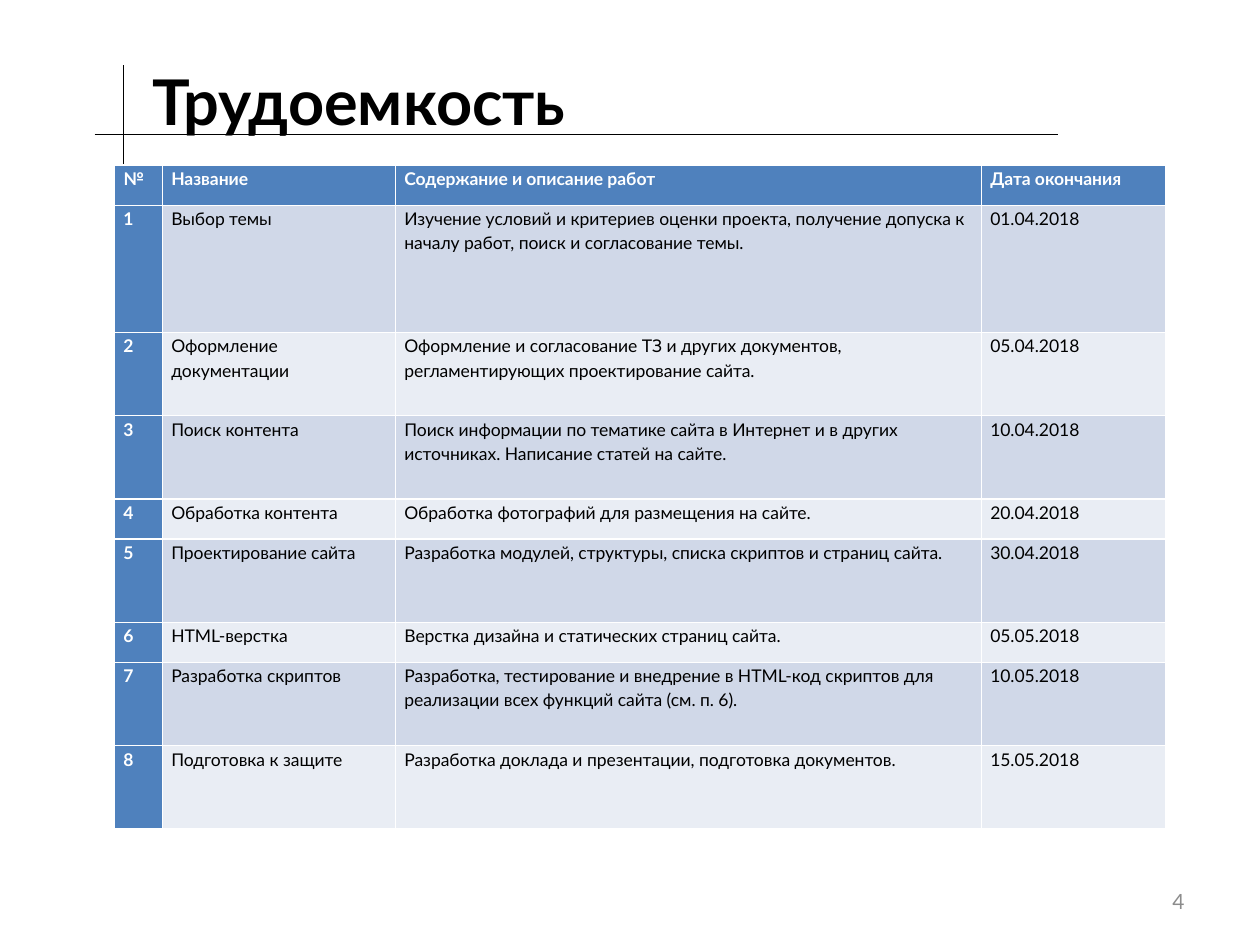
from lxml import etree
from pptx import Presentation
from pptx import util as u
from pptx.dml.color import RGBColor
from pptx.enum import shapes, text
from pptx.oxml.ns import qn

FONT = "Lato"
BLACK, WHITE, GREY = "000000", "FFFFFF", "8C8C8C"
BLUE, BANDS = "4F81BD", ("D0D8E8", "E9EDF4")

TITLE = "Трудоемкость"
PAGE_NUMBER = "4"
HEADER = ("№", "Название", "Содержание и описание работ", "Дата окончания")
# Name, description, end date, row height in lines
STAGES = [
    ("Выбор темы",
     "Изучение условий и критериев оценки проекта, получение допуска к "
     "началу работ, поиск и согласование темы.", "01.04.2018", 3),
    ("Оформление документации",
     "Оформление и согласование ТЗ и других документов, "
     "регламентирующих проектирование сайта.", "05.04.2018", 2),
    ("Поиск контента",
     "Поиск информации по тематике сайта в Интернет и в других "
     "источниках. Написание статей на сайте.", "10.04.2018", 2),
    ("Обработка контента",
     "Обработка фотографий для размещения на сайте.", "20.04.2018", 1),
    ("Проектирование сайта",
     "Разработка модулей, структуры, списка скриптов и страниц сайта.",
     "30.04.2018", 2),
    ("HTML-верстка",
     "Верстка дизайна и статических страниц сайта.", "05.05.2018", 1),
    ("Разработка скриптов",
     "Разработка, тестирование и внедрение в HTML-код скриптов для "
     "реализации всех функций сайта (см. п. 6).", "10.05.2018", 2),
    ("Подготовка к защите",
     "Разработка доклада и презентации, подготовка документов.",
     "15.05.2018", 2),
]
COLUMN_WIDTHS = (0.38, 1.85, 4.65, 1.46)
HEIGHT_OF_LINES = {1: 0.32, 2: 0.66, 3: 1.01}
TABLE_LEFT, TABLE_TOP = 0.91, 1.31
TITLE_TOP, TITLE_BASE = 0.52, 1.07


def color(value):
    return RGBColor.from_string(value)


def write(frame, words, size, ink, bold=False, align=text.PP_ALIGN.LEFT):
    frame.text = words
    paragraph = frame.paragraphs[0]
    paragraph.alignment = align
    font = paragraph.font
    font.name, font.size, font.bold = FONT, u.Pt(size), bold
    font.color.rgb = color(ink)
    return paragraph


def add_line(slide, start, end):
    line = slide.shapes.add_connector(
        shapes.MSO_CONNECTOR.STRAIGHT, *map(u.Inches, start + end))
    line.line.color.rgb = color(BLACK)
    line.line.width = u.Pt(0.75)
    properties = line._element.find(qn("p:spPr"))
    etree.SubElement(properties, qn("a:effectLst"))


def add_text(slide, box, *words, inset=0.1, **style):
    frame = slide.shapes.add_textbox(*map(u.Inches, box)).text_frame
    frame.word_wrap = True
    frame.vertical_anchor = text.MSO_ANCHOR.MIDDLE
    frame.margin_left = u.Inches(inset)
    write(frame, *words, **style)


def add_stage_table(slide):
    rows = [HEADER] + [(str(number), *stage[:3])
                       for number, stage in enumerate(STAGES, 1)]
    heights = [HEIGHT_OF_LINES[lines]
               for lines in [1] + [stage[3] for stage in STAGES]]
    table = slide.shapes.add_table(
        len(rows), len(HEADER), u.Inches(TABLE_LEFT), u.Inches(TABLE_TOP),
        u.Inches(sum(COLUMN_WIDTHS)), u.Inches(sum(heights))).table
    table.first_col = True
    for column, width in zip(table.columns, COLUMN_WIDTHS):
        column.width = u.Inches(width)
    for r, (values, height) in enumerate(zip(rows, heights)):
        table.rows[r].height = u.Inches(height)
        for c, value in enumerate(values):
            cell = table.cell(r, c)
            heading = r == 0 or c == 0
            cell.margin_left = cell.margin_right = u.Inches(0.07)
            cell.margin_top = cell.margin_bottom = 0
            cell.fill.solid()
            cell.fill.fore_color.rgb = color(
                BLUE if heading else BANDS[(r - 1) % 2])
            paragraph = write(cell.text_frame, value, 10,
                              WHITE if heading else BLACK, bold=heading)
            paragraph.line_spacing = 1.15


def main():
    presentation = Presentation()
    presentation.slide_width, presentation.slide_height = u.Inches(10), u.Inches(7.5)
    slide = presentation.slides.add_slide(presentation.slide_layouts[6])

    # Crossed rules beside the title
    add_line(slide, (0.75, TITLE_BASE), (8.4, TITLE_BASE))
    add_line(slide, (0.98, TABLE_TOP), (0.98, TITLE_TOP))

    # Work stages
    add_stage_table(slide)

    # Title and page number
    add_text(slide, (1.06, TITLE_TOP, 8.45, TITLE_BASE - TITLE_TOP),
             TITLE, 36, BLACK, inset=0.15, bold=True)
    add_text(slide, (7.17, 6.95, 2.33, 0.4), PAGE_NUMBER, 12, GREY,
             align=text.PP_ALIGN.RIGHT)

    presentation.save("out.pptx")


if __name__ == "__main__":
    main()
